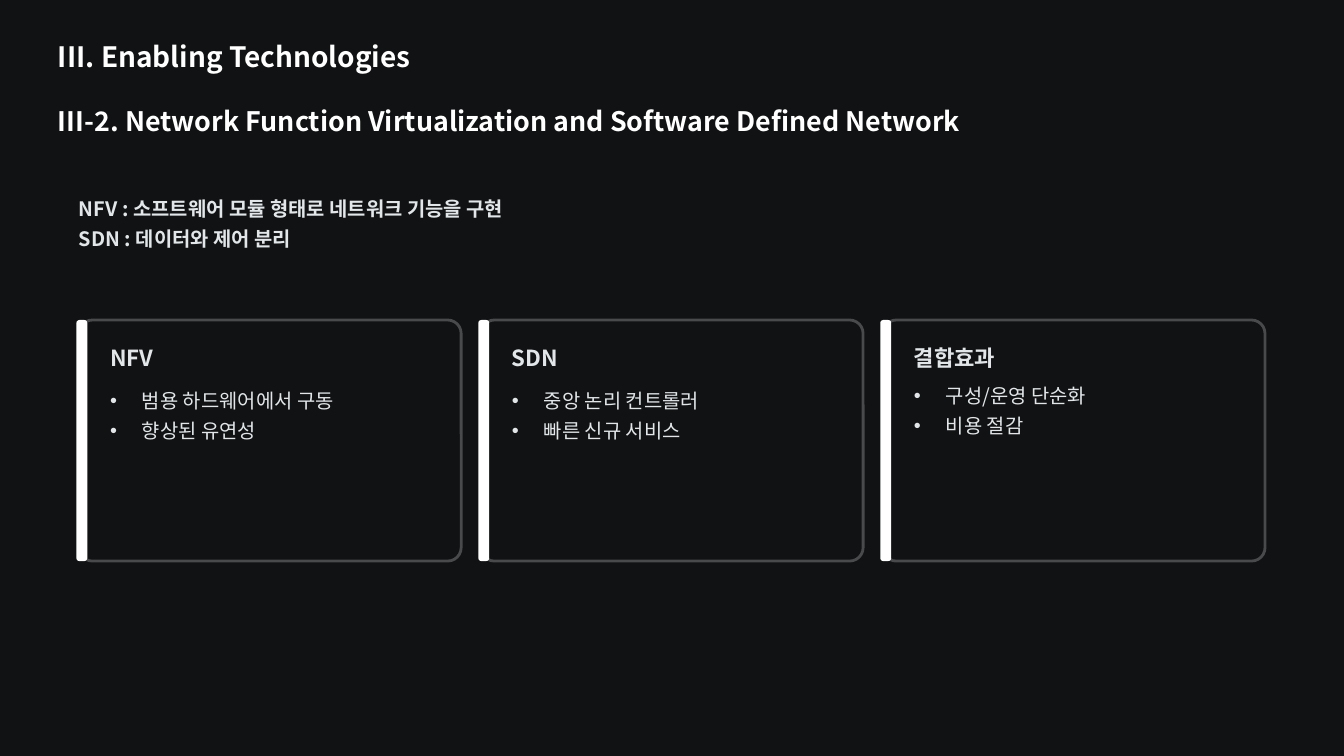
from dataclasses import dataclass

from pptx import Presentation
from pptx.dml.color import RGBColor
from pptx.enum.shapes import MSO_SHAPE as Preset
from pptx.enum.text import MSO_ANCHOR as Anchor, MSO_AUTO_SIZE as AutoSize, PP_ALIGN as Align
from pptx.oxml.ns import qn
from pptx.util import Inches, Pt


@dataclass(frozen=True)
class Theme:
    font: str = "Noto Sans CJK KR"
    background: str = "111213"
    border: str = "494A4B"
    white: str = "FFFFFF"
    text: str = "E2E6E9"
    title: int = 24
    subtitle: int = 23
    heading: int = 19
    body: int = 17


theme = Theme()


def write(box, text, left, top, width, height, size, spacing, color=theme.text,
          bold=False, bullet=False):
    """Place a box and fill it, one paragraph for each line of text."""
    box.left, box.top = Inches(left), Inches(top)
    box.width, box.height = Inches(width), Inches(height)
    frame = box.text_frame
    frame.margin_left = frame.margin_right = frame.margin_top = frame.margin_bottom = 0
    frame.word_wrap = True
    frame.auto_size = AutoSize.NONE
    frame.vertical_anchor = Anchor.TOP
    frame.text = text
    for para in frame.paragraphs:
        para.alignment = Align.LEFT
        para.line_spacing = Pt(spacing)
        para.space_before = para.space_after = Pt(0)
        props = para._p.get_or_add_pPr()
        indent = Inches(0.38) if bullet else 0
        props.set("marL", str(indent))
        props.set("indent", str(-indent))
        mark = props.makeelement(qn("a:buChar" if bullet else "a:buNone"), {})
        if bullet:
            mark.set("char", "•")
        props.append(mark)
        for span in para.runs:
            font = span.font
            font.name, font.size, font.bold = theme.font, Pt(size), bold
            font.color.rgb = RGBColor.from_string(color)
            latin = font._element.find(qn("a:latin"))
            latin.addnext(latin.makeelement(qn("a:ea"), {"typeface": theme.font}))


def add_panel(left, width, radius, fill, border=None):
    """Draw a rounded panel over the full height of the card row."""
    panel = page.shapes.add_shape(Preset.ROUNDED_RECTANGLE, Inches(left), Inches(card_top),
                                  Inches(width), Inches(card_height))
    panel.adjustments[0] = radius
    panel.shadow.inherit = False
    panel.fill.solid()
    panel.fill.fore_color.rgb = RGBColor.from_string(fill)
    if border:
        panel.line.color.rgb = RGBColor.from_string(border)
        panel.line.width = Pt(2.4)
    else:
        panel.line.fill.background()


deck = Presentation()
deck.slide_width, deck.slide_height = Inches(16), Inches(9)
comparison = deck.slide_layouts.get_by_name("Comparison")
page = deck.slides.add_slide(comparison)
page.background.fill.solid()
page.background.fill.fore_color.rgb = RGBColor.from_string(theme.background)

summary, *card_lists = [holder for holder in page.placeholders
                        if 1 <= holder.placeholder_format.idx <= 4]

write(page.shapes.title, "III. Enabling Technologies", 0.69, 0.48, 11, 0.39,
      size=theme.title, spacing=28, color=theme.white, bold=True)
subtitle = page.shapes.add_textbox(0, 0, 0, 0)
write(subtitle, "III-2. Network Function Virtualization and Software Defined Network",
      0.69, 1.23, 11, 0.4, size=theme.subtitle, spacing=28.5, color=theme.white, bold=True)
write(summary, "NFV : 소프트웨어 모듈 형태로 네트워크 기능을 구현\nSDN : 데이터와 제어 분리",
      0.94, 2.27, 14.11, 0.71, size=theme.body, spacing=25.5, bold=True)

cards = [
    ("NFV", "범용 하드웨어에서 구동\n향상된 유연성", 4.56),
    ("SDN", "중앙 논리 컨트롤러\n빠른 신규 서비스", 4.56),
    ("결합효과", "구성/운영 단순화\n비용 절감", 4.5),
]
row_left, row_right = 0.94, 15.06
card_top, card_width, card_height = 3.81, 4.55, 2.87
pitch = (row_right - row_left - card_width) / (len(cards) - 1)

for index, ((name, points, list_top), card_list) in enumerate(zip(cards, card_lists)):
    left = row_left + index * pitch
    add_panel(left, card_width, 0.056, theme.background, border=theme.border)
    add_panel(left - 0.03, 0.13, 0.27, theme.white)
    heading = page.shapes.add_textbox(0, 0, 0, 0)
    write(heading, name, left + 0.37, 4.08, 2.68, 0.34,
          size=theme.heading, spacing=24, bold=True)
    write(card_list, points, left + 0.37, list_top, 3.91, 1.06,
          size=theme.body, spacing=25.5, bullet=True)
    # Bring the list in front of its card
    card_list.element.getparent().append(card_list.element)

deck.save("out.pptx")
